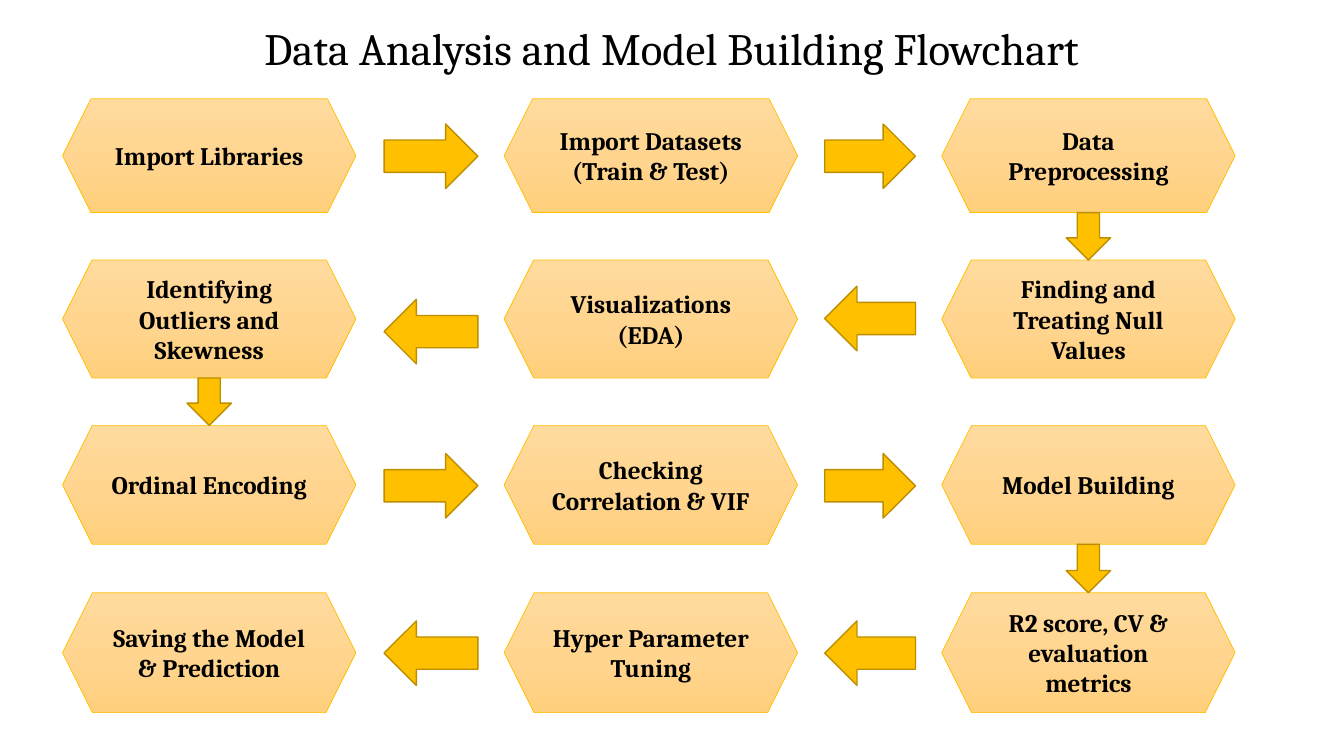
from copy import deepcopy
from pptx import Presentation
from pptx.util import Inches, Pt
from pptx.dml.color import RGBColor
from pptx.enum.shapes import MSO_SHAPE
from pptx.enum.text import MSO_ANCHOR, MSO_AUTO_SIZE, PP_ALIGN
from pptx.oxml.ns import qn

HEX, RIGHT = MSO_SHAPE.HEXAGON, MSO_SHAPE.RIGHT_ARROW
LEFT, DOWN = MSO_SHAPE.LEFT_ARROW, MSO_SHAPE.DOWN_ARROW
MID, CENTER = MSO_ANCHOR.MIDDLE, PP_ALIGN.CENTER
GROW = MSO_AUTO_SIZE.SHAPE_TO_FIT_TEXT

# Content: each row as it reads from left to right
TITLE = "Data Analysis and Model Building Flowchart"
STEPS = [
    ["Import Libraries", "Import Datasets\n(Train & Test)", "Data Preprocessing"],
    ["Identifying Outliers and Skewness", "Visualizations\n(EDA)",
     "Finding and Treating Null Values"],
    ["Ordinal Encoding", "Checking Correlation & VIF", "Model Building"],
    ["Saving the Model & Prediction", "Hyper Parameter Tuning",
     "R2 score, CV & evaluation metrics"],
]

# Grid, in inches
WIDE, HIGH = 13.33, 7.5
COLS, BOX_W = (0.62, 5, 9.34), 2.91
ROWS = ((0.98, 1.13), (2.58, 1.17), (4.22, 1.18), (5.88, 1.19))  # top, height
GAPS = ((3.81, 0.93), (8.18, 0.9))  # left, width of the side arrows
SIDES = ((1.23, 1.23), (2.97, 2.84), (4.5, 4.5), (6.16, 6.16))  # arrow tops
SIDE_H, DOWN_W = 0.64, 0.44

# Look
GRAD = ((0, "FFDB9E"), (0.5, "FFD590"), (1, "FFD07C"))
GOLD, EDGE, INK = "FFC000", "BD8E00", "000000"
HEAD = {"name": "Cambria", "size": Pt(32)}
BODY = {"name": "Cambria", "size": Pt(18), "bold": True}


def color(code):
    return RGBColor.from_string(code)


def write(frame, text, style):
    frame.word_wrap = True
    frame.text = text
    for para in frame.paragraphs:
        para.alignment = CENTER
        para.font.color.rgb = color(INK)
        for key, value in style.items():
            setattr(para.font, key, value)


def draw(kind, place, edge, width):
    shape = slide.shapes.add_shape(kind, *map(Inches, place))
    shape.shadow.inherit = False
    shape.line.color.rgb = color(edge)
    shape.line.width = Pt(width)
    return shape


def step(place, text):
    box = draw(HEX, place, GOLD, 0.5)
    box.fill.gradient()
    box.fill.gradient_angle = 270
    stops = box._element.spPr.find(".//" + qn("a:gsLst"))
    stops.append(deepcopy(stops[0]))
    for stop, (spot, code) in zip(box.fill.gradient_stops, GRAD):
        stop.position = spot
        stop.color.rgb = color(code)
    box.text_frame.vertical_anchor = MID
    write(box.text_frame, text, BODY)


def arrow(kind, *place):
    shape = draw(kind, place, EDGE, 1)
    shape.fill.solid()
    shape.fill.fore_color.rgb = color(GOLD)


deck = Presentation()
deck.slide_width, deck.slide_height = Inches(WIDE), Inches(HIGH)
slide = deck.slides.add_slide(deck.slide_layouts[6])

# Title
title = slide.shapes.add_textbox(0, Inches(0.16), Inches(WIDE), Inches(0.64))
write(title.text_frame, TITLE, HEAD)
title.text_frame.auto_size = GROW

# Rows run right, then left, in turn
for row, (top, high) in enumerate(ROWS):
    for left, text in zip(COLS, STEPS[row]):
        step((left, top, BOX_W, high), text)
    for (left, wide), y in zip(GAPS, SIDES[row]):
        arrow(LEFT if row % 2 else RIGHT, left, y, wide, SIDE_H)

# Down arrows join the end of each row to the next
for row, (top, high) in enumerate(ROWS[:-1]):
    left = COLS[0 if row % 2 else -1] + (BOX_W - DOWN_W) / 2
    base = top + high
    arrow(DOWN, left, base, DOWN_W, ROWS[row + 1][0] - base)

deck.save("out.pptx")
